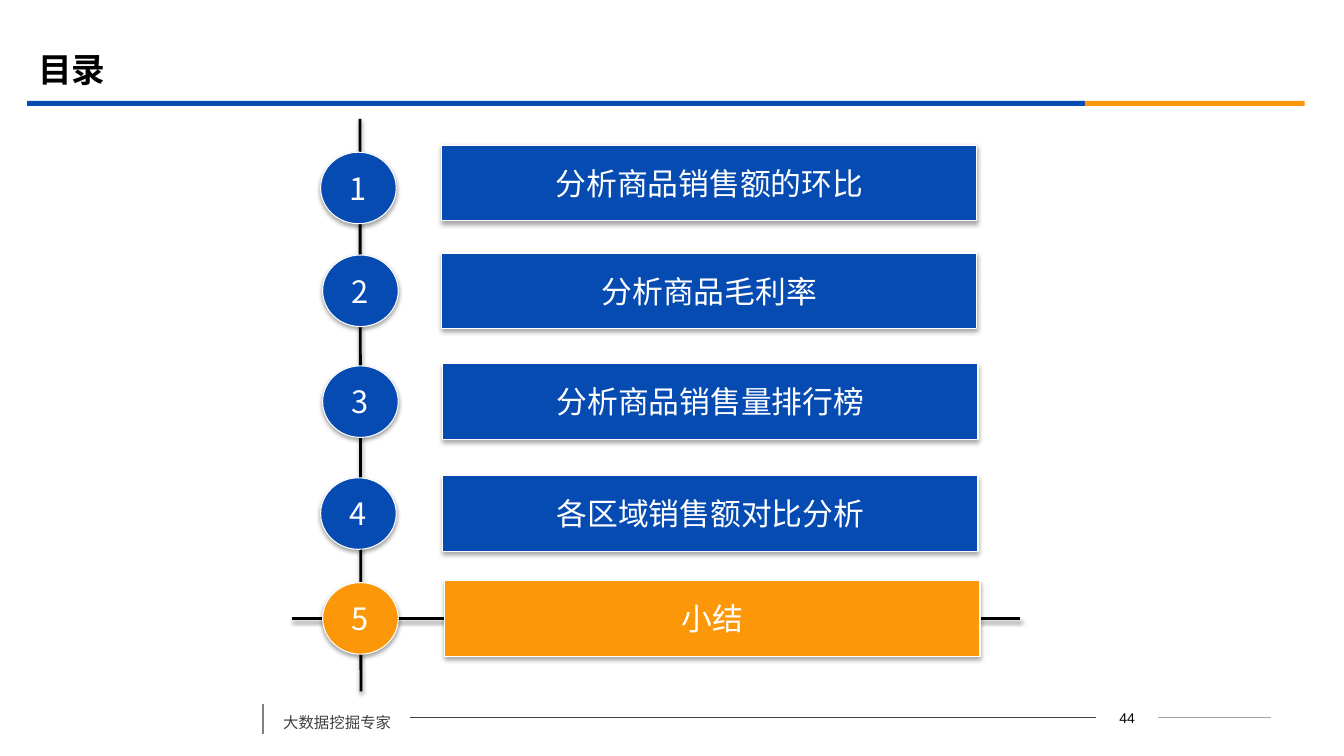
from dataclasses import dataclass

from lxml import etree
from pptx import Presentation
from pptx.dml.color import RGBColor
from pptx.enum.shapes import MSO_CONNECTOR, MSO_SHAPE
from pptx.enum.text import MSO_ANCHOR, PP_ALIGN
from pptx.oxml.ns import qn
from pptx.util import Inches, Pt

STRAIGHT = MSO_CONNECTOR.STRAIGHT
RECTANGLE = MSO_SHAPE.RECTANGLE
OVAL = MSO_SHAPE.OVAL
BUTTON = MSO_SHAPE.ACTION_BUTTON_CUSTOM
MIDDLE, TOP = MSO_ANCHOR.MIDDLE, MSO_ANCHOR.TOP
LEFT, CENTER = PP_ALIGN.LEFT, PP_ALIGN.CENTER
LEFT_SIDE, RIGHT_SIDE = 1, 3


@dataclass(frozen=True)
class Theme:
    blue: str = "064BB2"
    orange: str = "FB9708"
    white: str = "FFFFFF"
    black: str = "000000"
    dark_gray: str = "404040"
    mid_gray: str = "808080"
    light_gray: str = "A6A6A6"
    cjk_font: str = "Noto Sans CJK SC"
    number_font: str = "Arial"
    title_size: float = 24
    topic_size: float = 22
    footer_size: float = 11
    page_size: float = 10


THEME = Theme()

# Number, badge left, badge top, bar left, bar top
TOPICS = [
    ("分析商品销售额的环比", 3.18, 1.51, 4.38, 1.44),
    ("分析商品毛利率", 3.2, 2.53, 4.38, 2.51),
    ("分析商品销售量排行榜", 3.2, 3.63, 4.39, 3.61),
    ("各区域销售额对比分析", 3.18, 4.74, 4.39, 4.72),
    ("小结", 3.2, 5.78, 4.41, 5.76),
]
CURRENT_TOPIC = 5


def rgb(color):
    return RGBColor.from_string(color)


def set_effects(item, shadow_alpha=None, distance=1.8):
    """Give an element a soft downward shadow, or none at all."""
    properties = item._element.spPr
    effects = properties.find(qn("a:effectLst"))
    if effects is None:
        effects = etree.SubElement(properties, qn("a:effectLst"))
    if shadow_alpha is None:
        return
    shadow = etree.SubElement(
        effects, qn("a:outerShdw"), blurRad=str(Pt(3.1)), dist=str(Pt(distance)),
        dir="5400000", rotWithShape="0")
    color = etree.SubElement(shadow, qn("a:srgbClr"), val=THEME.black)
    etree.SubElement(color, qn("a:alpha"), val=str(shadow_alpha * 1000))


def write(frame, text, size, color, font=THEME.cjk_font, bold=False,
          align=LEFT, anchor=MIDDLE, wrap=True):
    frame.word_wrap = wrap
    frame.vertical_anchor = anchor
    paragraph = frame.paragraphs[0]
    paragraph.text = text
    paragraph.alignment = align
    for run in paragraph.runs:
        run.font.size = Pt(size)
        run.font.bold = bold
        run.font.color.rgb = rgb(color)
        run.font.name = font
        etree.SubElement(run.font._element, qn("a:ea"), typeface=font)


def add_label(slide, box, text, size, color, **style):
    label = slide.shapes.add_textbox(*map(Inches, box))
    write(label.text_frame, text, size, color, **style)
    return label


def add_line(slide, start, end, color, width, shadow_alpha=None):
    line = slide.shapes.add_connector(STRAIGHT, *map(Inches, (*start, *end)))
    line.line.color.rgb = rgb(color)
    line.line.width = Pt(width)
    set_effects(line, shadow_alpha, distance=1.6)
    return line


def add_band(slide, box, color):
    band = slide.shapes.add_shape(RECTANGLE, *map(Inches, box))
    band.shadow.inherit = False
    band.fill.solid()
    band.fill.fore_color.rgb = rgb(color)
    band.line.fill.background()


def add_tile(slide, outline, box, text, color):
    tile = slide.shapes.add_shape(outline, *map(Inches, box))
    tile.shadow.inherit = False
    tile.fill.solid()
    tile.fill.fore_color.rgb = rgb(color)
    tile.line.color.rgb = rgb(THEME.white)
    tile.line.width = Pt(0.75)
    set_effects(tile, shadow_alpha=35)
    write(tile.text_frame, text, THEME.topic_size, THEME.white,
          align=CENTER, wrap=False)


def add_header(slide):
    add_label(slide, (0.28, 0.39, 12, 0.58), "目录",
              THEME.title_size, THEME.black, bold=True)
    add_band(slide, (0.27, 1, 10.49, 0.05), THEME.blue)
    add_band(slide, (10.76, 1, 2.18, 0.05), THEME.orange)


def add_footer(slide):
    add_line(slide, (2.61, 6.98), (2.61, 7.28), THEME.mid_gray, 1.25)
    motto = add_label(slide, (2.71, 6.93, 1.36, 0.38), "大数据挖掘专家",
                      THEME.footer_size, THEME.dark_gray, anchor=TOP)
    motto.text_frame.paragraphs[0].line_spacing = 1.5
    page = add_label(slide, (10.87, 6.99, 0.62, 0.26), "44",
                     THEME.page_size, THEME.black,
                     font=THEME.number_font, align=CENTER)
    long_rule = add_line(slide, (4.07, 7.12), (10.87, 7.12), THEME.dark_gray, 0.75)
    long_rule.begin_connect(motto, RIGHT_SIDE)
    long_rule.end_connect(page, LEFT_SIDE)
    short_rule = add_line(slide, (11.49, 7.12), (12.61, 7.12), THEME.light_gray, 0.75)
    short_rule.begin_connect(page, RIGHT_SIDE)


def add_agenda(slide):
    # Axes behind the topics
    add_line(slide, (3.57, 1.18), (3.58, 6.86), THEME.black, 2, shadow_alpha=38)
    add_line(slide, (2.9, 6.14), (10.12, 6.14), THEME.black, 2, shadow_alpha=38)

    # Numbered badge and bar for each topic
    for number, (topic, badge_x, badge_y, bar_x, bar_y) in enumerate(TOPICS, 1):
        color = THEME.orange if number == CURRENT_TOPIC else THEME.blue
        add_tile(slide, BUTTON, (bar_x, bar_y, 5.31, 0.75), topic, color)
        add_tile(slide, OVAL, (badge_x, badge_y, 0.75, 0.71), str(number), color)


def main():
    deck = Presentation()
    deck.slide_width, deck.slide_height = Inches(13.33), Inches(7.5)
    slide = deck.slides.add_slide(deck.slide_layouts[6])
    add_header(slide)
    add_footer(slide)
    add_agenda(slide)
    deck.save("out.pptx")


if __name__ == "__main__":
    main()
